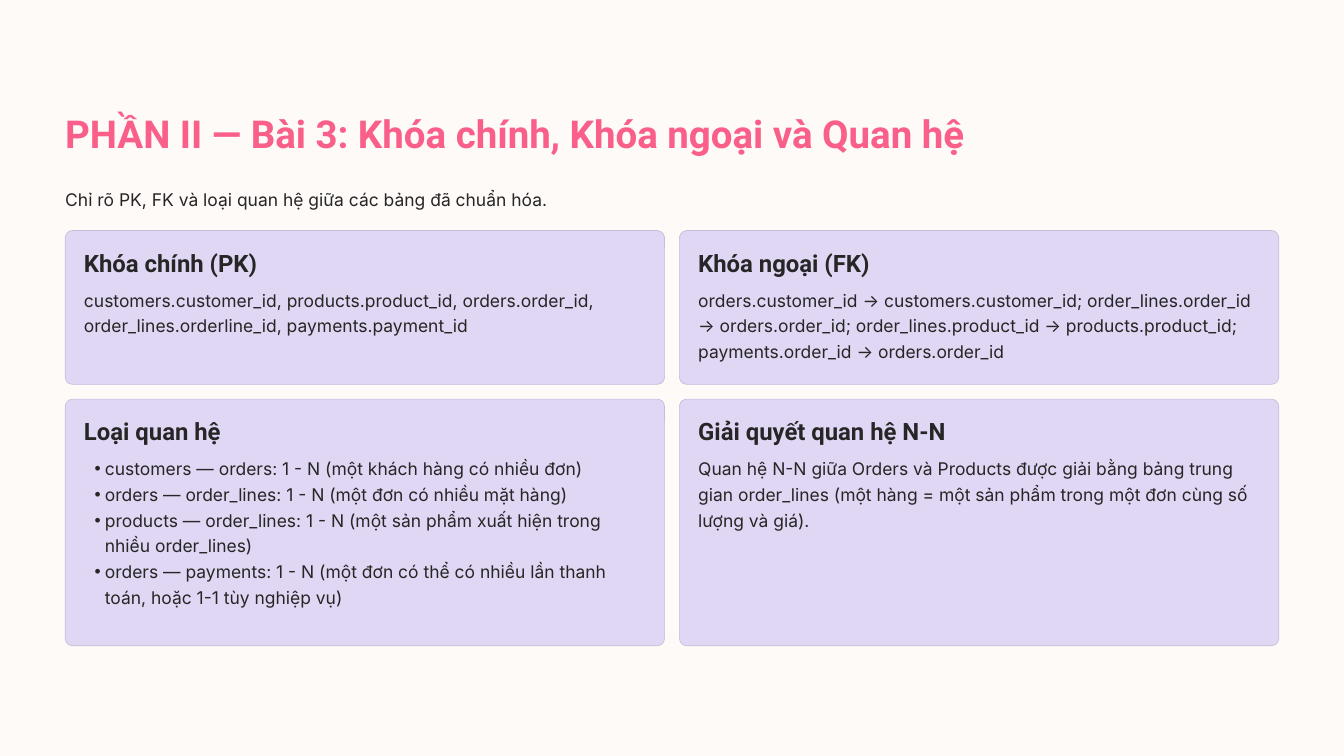
import pptx
import pptx.dml.color
import pptx.enum.shapes
import pptx.enum.text
import pptx.util
from lxml import etree
from pptx.oxml.ns import qn

PX = 9144  # EMU in one px, 100 px to the inch

CREAM = pptx.dml.color.RGBColor(0xFD, 0xFA, 0xF7)
PINK = pptx.dml.color.RGBColor(0xF9, 0x5F, 0x88)
INK = pptx.dml.color.RGBColor(0x27, 0x25, 0x25)
LILAC = pptx.dml.color.RGBColor(0xE0, 0xD7, 0xF4)
EDGE = pptx.dml.color.RGBColor(0xC6, 0xBD, 0xDA)

TITLE = dict(font="Roboto", size=41.2, leading=51.2, color=PINK, bold=True)
HEADING = dict(font="Roboto", size=25.6, leading=31.9, bold=True)
BODY = dict(font="Inter", size=18.7, leading=27.5)

LEFT, GAP, CARD_WIDTH = 97, 22, 892
CARDS_TOP, ROW_HEIGHTS = 343, (229, 367)
RADIUS, PAD_X, PAD_Y, BODY_DROP = 11, 28, 25, 81

# Heading, heading width, body text (a list makes bullets), body height
CARDS = [
    [
        ("Khóa chính (PK)", 360,
         "customers.customer_id, products.product_id, orders.order_id, "
         "order_lines.orderline_id, payments.payment_id", 82),
        ("Khóa ngoại (FK)", 360,
         "orders.customer_id → customers.customer_id; order_lines.order_id → orders.order_id; "
         "order_lines.product_id → products.product_id; payments.order_id → orders.order_id", 121),
    ],
    [
        ("Loại quan hệ", 360,
         ["customers — orders: 1 - N (một khách hàng có nhiều đơn)",
          "orders — order_lines: 1 - N (một đơn có nhiều mặt hàng)",
          "products — order_lines: 1 - N (một sản phẩm xuất hiện trong nhiều order_lines)",
          "orders — payments: 1 - N (một đơn có thể có nhiều lần thanh toán, hoặc 1-1 tùy nghiệp vụ)"],
         260),
        ("Giải quyết quan hệ N-N", 384,
         "Quan hệ N-N giữa Orders và Products được giải bằng bảng trung gian order_lines "
         "(một hàng = một sản phẩm trong một đơn cùng số lượng và giá).", 121),
    ],
]


def add_bullet(para):
    para.level = 1
    props = para._p.get_or_add_pPr()
    props.set("marL", str(31 * PX))
    props.set("indent", str(-15 * PX))
    etree.SubElement(props, qn("a:buChar")).set("char", "•")


def write_text(page, text, place, holder=None, font="Inter", size=18.7, leading=27.5,
               color=INK, bold=False):
    """Write a string, or a list as bullets, in a placeholder or a new text box."""
    left, top, width, height = (value * PX for value in place)
    box = holder or page.shapes.add_textbox(left, top, width, height)
    box.left, box.top, box.width, box.height = left, top, width, height
    frame = box.text_frame
    frame.word_wrap = True
    frame.auto_size = pptx.enum.text.MSO_AUTO_SIZE.NONE
    frame.vertical_anchor = pptx.enum.text.MSO_ANCHOR.TOP
    frame.margin_left = frame.margin_top = frame.margin_right = frame.margin_bottom = 0
    bulleted = isinstance(text, list)
    for index, line in enumerate(text if bulleted else [text]):
        para = frame.add_paragraph() if index else frame.paragraphs[0]
        if bulleted:
            add_bullet(para)
        para.alignment = pptx.enum.text.PP_ALIGN.LEFT
        para.line_spacing = pptx.util.Pt(leading)
        para.space_before = pptx.util.Pt(0)
        span = para.add_run()
        span.text = line
        span.font.name = font
        span.font.size = pptx.util.Pt(size)
        span.font.bold = bold
        span.font.color.rgb = color


def draw_card(page, place, content, list_holder):
    left, top, width, height = place
    heading, heading_width, text, text_height = content
    card = page.shapes.add_shape(pptx.enum.shapes.MSO_SHAPE.ROUNDED_RECTANGLE,
                                 *(value * PX for value in place))
    card.adjustments[0] = RADIUS / height
    card.shadow.inherit = False
    card.fill.solid()
    card.fill.fore_color.rgb = LILAC
    card.line.color.rgb = EDGE
    card.line.width = pptx.util.Pt(0.75)

    write_text(page, heading, (left + PAD_X, top + PAD_Y, heading_width, 48), **HEADING)
    holder = None
    if isinstance(text, list):
        holder = list_holder
        page.shapes.element.append(holder.element)  # bring the list in front of its card
    write_text(page, text, (left + PAD_X, top + BODY_DROP, width - 2 * PAD_X + 1, text_height),
               holder=holder, **BODY)


def draw_header(page):
    write_text(page, "PHẦN II — Bài 3: Khóa chính, Khóa ngoại và Quan hệ",
               (LEFT, 161, 1372, 75), holder=page.shapes.title, **TITLE)
    write_text(page, "Chỉ rõ PK, FK và loại quan hệ giữa các bảng đã chuẩn hóa.",
               (LEFT, 275, 1805, 44), **BODY)


def draw_cards(page):
    list_holder = page.placeholders[1]
    top = CARDS_TOP
    for row, height in zip(CARDS, ROW_HEIGHTS):
        for column, content in enumerate(row):
            left = LEFT + column * (CARD_WIDTH + GAP)
            draw_card(page, (left, top, CARD_WIDTH, height), content, list_holder)
        top += height + GAP


def main():
    deck = pptx.Presentation()
    deck.slide_width, deck.slide_height = 2000 * PX, 1125 * PX
    page = deck.slides.add_slide(deck.slide_layouts[1])
    page.background.fill.solid()
    page.background.fill.fore_color.rgb = CREAM
    draw_header(page)
    draw_cards(page)
    deck.save("out.pptx")


if __name__ == "__main__":
    main()
